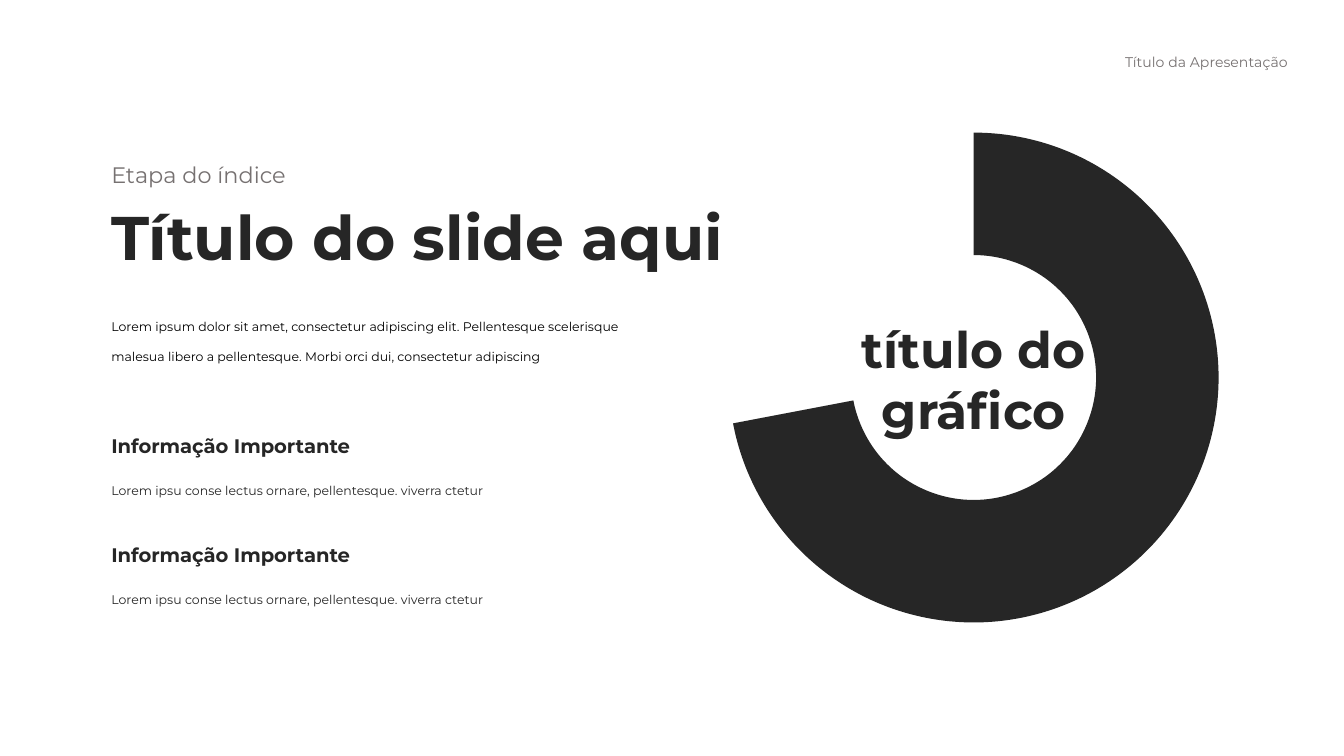
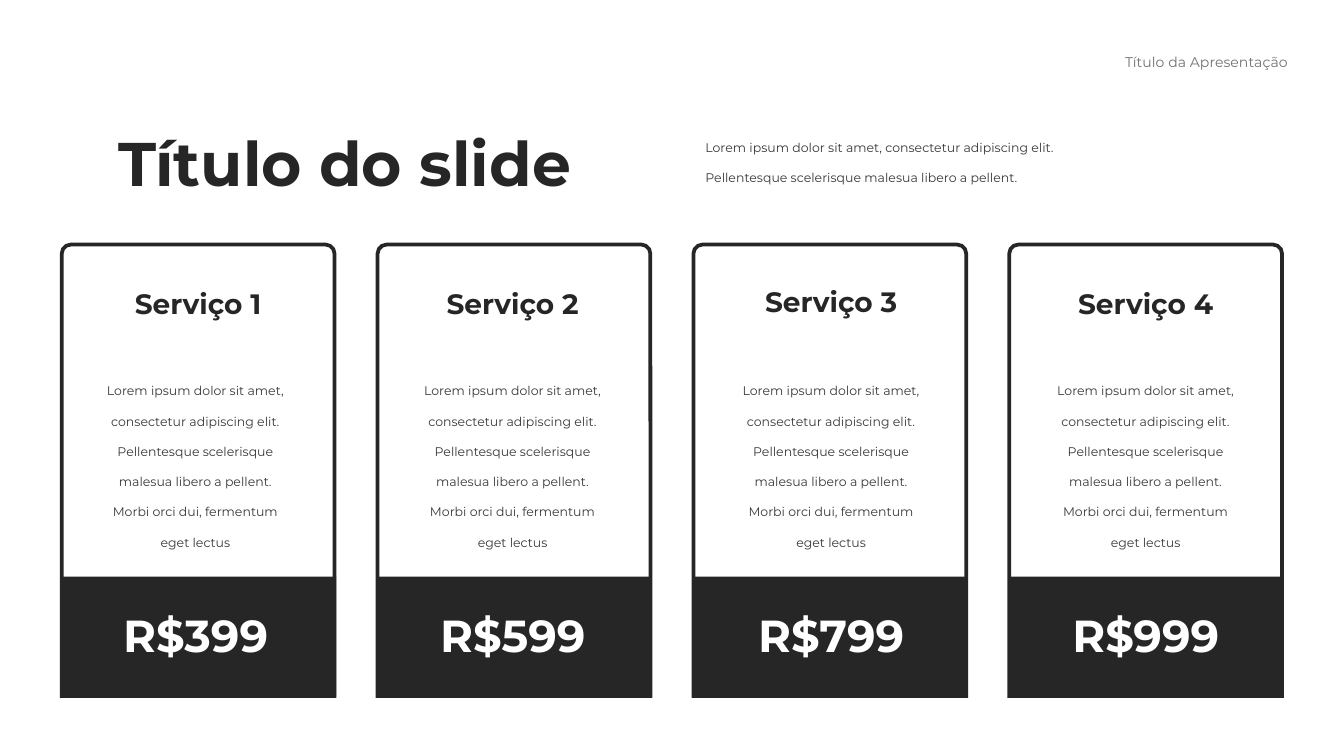
from dataclasses import dataclass

import lxml.etree
import pptx
import pptx.chart.data
import pptx.dml.color
import pptx.enum.chart
import pptx.enum.shapes
import pptx.enum.text
import pptx.oxml.ns
import pptx.util

Inches = pptx.util.Inches
Align = pptx.enum.text.PP_ALIGN
Preset = pptx.enum.shapes.MSO_SHAPE
qn = pptx.oxml.ns.qn

COLOURS = {
    "ink": "262626",
    "muted": "767171",
    "body": "3B3838",
    "black": "000000",
    "white": "FFFFFF",
}
LOREM = "Lorem ipsum dolor sit amet, consectetur adipiscing elit."
CARD_TEXT = (LOREM + " Pellentesque scelerisque malesua libero a pellent. "
             "Morbi orci dui, fermentum eget lectus")


@dataclass(frozen=True)
class TextStyle:
    size: float
    colour: str
    bold: bool = False
    align: Align = Align.LEFT
    spacing: float = 1.0
    wrap: bool = True


@dataclass(frozen=True)
class Service:
    name: str
    price: str
    text_left: float
    name_left: float
    name_top: float = 2.08


# Text styles shared by the slides
HEADER = TextStyle(7.5, "muted", align=Align.RIGHT, wrap=False)
TITLE = TextStyle(33, "ink", bold=True)
STEP = TextStyle(12, "muted", wrap=False)
INTRO = TextStyle(6.75, "black", spacing=2.0)
INFO_TITLE = TextStyle(10.5, "ink", bold=True)
INFO_TEXT = TextStyle(6.75, "ink", spacing=2.0)
CHART_TITLE = TextStyle(27, "ink", bold=True, align=Align.CENTER)
SUMMARY = TextStyle(6.75, "body", spacing=2.0)
CARD_NAME = TextStyle(15, "ink", bold=True, align=Align.CENTER)
CARD_BODY = TextStyle(6.75, "body", align=Align.CENTER, spacing=2.0)
CARD_PRICE = TextStyle(24, "white", bold=True, align=Align.CENTER)

SERVICES = [
    Service("Serviço 1", "R$399", 0.67, 0.86),
    Service("Serviço 2", "R$599", 3.03, 3.2),
    Service("Serviço 3", "R$799", 5.4, 5.57, 2.07),
    Service("Serviço 4", "R$999", 7.74, 7.91),
]
CARD_LEFT, CARD_PITCH = 0.45, 2.35
INFO_TOP, INFO_PITCH = 3.18, 0.81
TEXT_LEFT = 0.73
RING_SHARE = 0.93


def rgb(name: str) -> pptx.dml.color.RGBColor:
    return pptx.dml.color.RGBColor.from_string(COLOURS[name])


def set_attributes(target: object, values: dict) -> None:
    for attribute, value in values.items():
        setattr(target, attribute, value)


def add_text(slide, left: float, top: float, width: float, height: float,
             style: TextStyle, *lines: str) -> None:
    frame = slide.shapes.add_textbox(
        Inches(left), Inches(top), Inches(width), Inches(height)).text_frame
    set_attributes(frame, {
        "word_wrap": style.wrap,
        "auto_size": pptx.enum.text.MSO_AUTO_SIZE.SHAPE_TO_FIT_TEXT,
    })
    for index, line in enumerate(lines):
        paragraph = frame.add_paragraph() if index else frame.paragraphs[0]
        set_attributes(paragraph, {
            "alignment": style.align, "line_spacing": style.spacing})
        run = paragraph.add_run()
        run.text = line
        set_attributes(run.font, {
            "name": "Montserrat",
            "size": pptx.util.Pt(style.size),
            "bold": style.bold,
        })
        run.font.color.rgb = rgb(style.colour)


def add_panel(slide, preset: Preset, left: float, top: float, width: float,
              height: float, corner: float):
    panel = slide.shapes.add_shape(
        preset, Inches(left), Inches(top), Inches(width), Inches(height))
    panel.shadow.inherit = False
    panel.adjustments[0] = corner
    return panel


def add_ring(slide) -> None:
    ring_data = pptx.chart.data.CategoryChartData()
    ring_data.categories = ["1", "2"]
    ring_data.add_series("Series 1", (72, 28))
    chart = slide.shapes.add_chart(
        pptx.enum.chart.XL_CHART_TYPE.DOUGHNUT, Inches(5.27), Inches(0.85),
        Inches(3.95), Inches(3.92), ring_data).chart
    set_attributes(chart, {"has_legend": False, "has_title": False})
    set_attributes(chart.font, {"name": "Calibri", "size": pptx.util.Pt(10)})
    chart.font.color.rgb = rgb("black")

    plot = chart.plots[0]
    plot.vary_by_categories = True
    filled, rest = (plot.series[0].points[i].format for i in range(2))
    filled.fill.solid()
    filled.fill.fore_color.rgb = rgb("ink")
    rest.fill.background()
    for part in (filled, rest):
        part.line.fill.background()

    # Hole size and centred plot area
    area = chart._chartSpace.find(".//" + qn("c:plotArea"))
    area.find(".//" + qn("c:holeSize")).set("val", "75")
    layout = area.find(qn("c:layout"))
    if layout is None:
        layout = lxml.etree.Element(qn("c:layout"))
        area.insert(0, layout)
    manual = lxml.etree.SubElement(layout, qn("c:manualLayout"))
    margin = f"{(1 - RING_SHARE) / 2:.3f}"
    for tag, value in {"layoutTarget": "inner", "xMode": "edge",
                       "yMode": "edge", "x": margin, "y": margin,
                       "w": str(RING_SHARE), "h": str(RING_SHARE)}.items():
        lxml.etree.SubElement(manual, qn("c:" + tag)).set("val", value)


def add_card(slide, left: float, service: Service) -> None:
    band = add_panel(slide, Preset.ROUNDED_RECTANGLE, left, 4.29, 2.05, 0.89, 0)
    band.fill.solid()
    band.fill.fore_color.rgb = rgb("ink")
    band.line.fill.background()
    outline = add_panel(slide, Preset.ROUND_2_SAME_RECTANGLE,
                        left + 0.01, 1.82, 2.03, 3.36, 0.033)
    outline.fill.background()
    outline.line.color.rgb = rgb("ink")
    outline.line.width = pptx.util.Pt(2)
    # Square line corners
    line = outline.element.find(".//" + qn("a:ln"))
    lxml.etree.SubElement(line, qn("a:miter")).set("lim", "800000")

    add_text(slide, service.text_left, 4.47, 1.57, 0.5, CARD_PRICE,
             service.price)
    add_text(slide, service.name_left, service.name_top, 1.23, 0.35, CARD_NAME,
             service.name)
    add_text(slide, service.text_left, 2.69, 1.57, 1.43, CARD_BODY, CARD_TEXT)


def new_slide(deck):
    slide = deck.slides.add_slide(deck.slide_layouts[6])
    add_text(slide, 8.26, 0.35, 1.42, 0.23, HEADER, "Título da Apresentação")
    return slide


def build_chart_slide(deck) -> None:
    slide = new_slide(deck)
    add_ring(slide)
    add_text(slide, 6.23, 2.32, 2.03, 1.01, CHART_TITLE, "título do gráfico")
    add_text(slide, TEXT_LEFT, 1.43, 5.1, 0.66, TITLE, "Título do slide aqui")
    add_text(slide, TEXT_LEFT, 1.15, 1.52, 0.3, STEP, "Etapa do índice")
    add_text(slide, TEXT_LEFT, 2.21, 4.18, 0.52, INTRO,
             LOREM + " Pellentesque scelerisque malesua libero a pellentesque. "
             "Morbi orci dui, consectetur adipiscing")
    for row in range(2):
        top = INFO_TOP + row * INFO_PITCH
        add_text(slide, TEXT_LEFT, top, 3.11, 0.28, INFO_TITLE,
                 "Informação Importante")
        add_text(slide, TEXT_LEFT, top + 0.25, 3.05, 0.29, INFO_TEXT,
                 "Lorem ipsu conse lectus ornare, pellentesque. viverra ctetur")


def build_services_slide(deck) -> None:
    slide = new_slide(deck)
    for column, service in enumerate(SERVICES):
        add_card(slide, CARD_LEFT + column * CARD_PITCH, service)
    add_text(slide, 0.78, 0.88, 3.98, 0.66, TITLE, "Título do slide")
    add_text(slide, 5.15, 0.88, 4.39, 0.52, SUMMARY, LOREM,
             "Pellentesque scelerisque malesua libero a pellent.")


def main() -> None:
    deck = pptx.Presentation()
    # Widescreen, 16:9
    set_attributes(deck, {
        "slide_width": Inches(10), "slide_height": Inches(10 * 9 / 16)})
    build_chart_slide(deck)
    build_services_slide(deck)
    deck.save("out.pptx")


if __name__ == "__main__":
    main()
